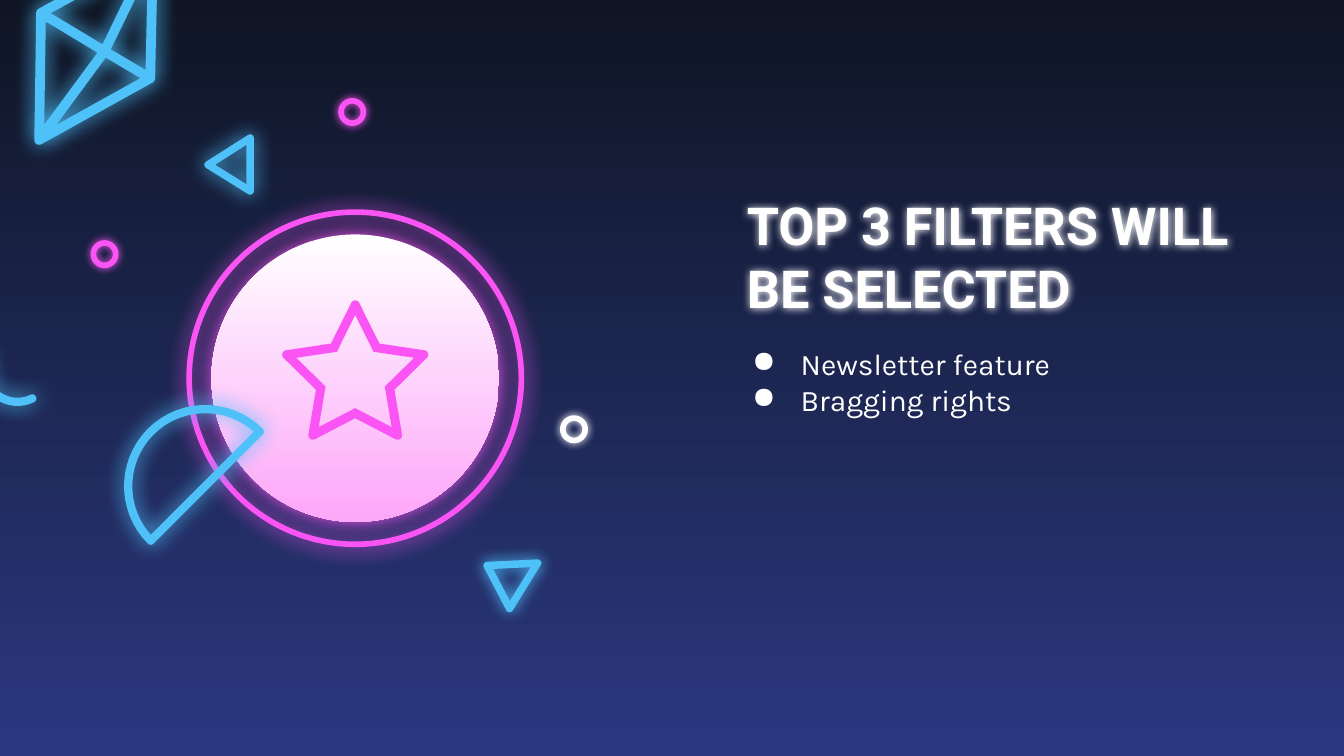
"""Build the neon "top 3 filters" slide."""
from dataclasses import dataclass
from math import acos, atan2, ceil, cos, hypot, radians, sin

from lxml.etree import SubElement
from pptx import Presentation
from pptx.dml.color import RGBColor as RGB
from pptx.enum.shapes import MSO_SHAPE as SHAPE
from pptx.enum.text import MSO_ANCHOR as ANCHOR
from pptx.oxml.ns import qn
from pptx.util import Pt

Point = tuple[float, float]


@dataclass(frozen=True)
class Theme:
    white: str = "FFFFFF"
    pink: str = "FB54F4"
    pale_pink: str = "FDA7F9"
    blue: str = "4FC1F9"
    night: str = "0F1524"
    indigo: str = "2B3880"
    title_font: str = "Roboto"
    body_font: str = "Karla"
    title_size: float = 28
    body_size: float = 16


@dataclass(frozen=True)
class Circle:
    center: Point
    radius: float
    color: str
    glow: float


@dataclass(frozen=True)
class Tube:
    points: list[Point]
    holes: list[list[Point]]
    half_width: float
    color: str
    glow: float = 0


T = Theme()


def arc(center: Point, radius: float, start: float, end: float) -> list[Point]:
    steps = max(1, ceil(abs(end - start) / 6))
    angles = [radians(start + (end - start) * i / steps) for i in range(steps + 1)]
    return [(center[0] + radius * cos(a), center[1] + radius * sin(a)) for a in angles]


def star(center: Point, outer: float, inner: float) -> list[Point]:
    return [arc(center, inner if i % 2 else outer, a, a)[0]
            for i, a in enumerate(range(-90, 270, 36))]


def normal(a: Point, b: Point) -> Point:
    dx, dy = b[0] - a[0], b[1] - a[1]
    length = hypot(dx, dy)
    return dy / length, -dx / length


def offset(points: list[Point], distance: float) -> list[Point]:
    result = []
    for i, (x, y) in enumerate(points):
        nx, ny = normal(points[i - 1], (x, y))
        mx, my = normal((x, y), points[(i + 1) % len(points)])
        dot = max(-1, min(1, nx * mx + ny * my))
        convex = nx * my - ny * mx > 0 or dot < -0.99
        if convex and distance > 0:
            start, sweep = atan2(ny, nx), acos(dot)
            steps = max(1, ceil(sweep / radians(15)))
            angles = [start + sweep * k / steps for k in range(steps + 1)]
            result += [(x + distance * cos(a), y + distance * sin(a)) for a in angles]
        else:
            scale = distance / (1 + dot)
            result.append((x + scale * (nx + mx), y + scale * (ny + my)))
    return result


def add_glow(sp, color: str, blur: float) -> None:
    effects = sp._element.spPr.find(qn("a:effectLst"))
    if effects is None:
        effects = SubElement(sp._element.spPr, qn("a:effectLst"))
    shadow = SubElement(effects, qn("a:outerShdw"), blurRad=str(Pt(blur)), dist="0",
                        algn="bl", rotWithShape="0")
    SubElement(shadow, qn("a:srgbClr"), val=color)


def fill_gradient(fill, top: str, bottom: str) -> None:
    fill.gradient()
    fill.gradient_angle = 270
    for stop, color in zip(fill.gradient_stops, (top, bottom)):
        stop.color.rgb = RGB.from_string(color)


def add_circle(s, circle: Circle):
    (x, y), r = circle.center, circle.radius
    sp = s.shapes.add_shape(SHAPE.OVAL, Pt(x - r), Pt(y - r), Pt(2 * r), Pt(2 * r))
    sp.shadow.inherit = False
    add_glow(sp, circle.color, circle.glow)
    return sp


def add_ring(s, circle: Circle) -> None:
    sp = add_circle(s, circle)
    sp.fill.background()
    sp.line.color.rgb = RGB.from_string(circle.color)
    sp.line.width = Pt(3)


def add_disc(s, circle: Circle) -> None:
    sp = add_circle(s, circle)
    fill_gradient(sp.fill, T.white, T.pale_pink)
    sp.line.fill.background()


def add_tube(s, tube: Tube) -> None:
    contours = [offset(tube.points, tube.half_width)]
    contours += [offset(hole, -tube.half_width) for hole in tube.holes]
    paths = [[(Pt(x), Pt(y)) for x, y in contour] for contour in contours]
    builder = s.shapes.build_freeform(*paths[0][0])
    for i, vertices in enumerate(paths):
        if i:
            builder.move_to(*vertices[0])
        builder.add_line_segments(vertices[1:], close=True)
    sp = builder.convert_to_shape()
    sp.fill.solid()
    sp.fill.fore_color.rgb = RGB.from_string(tube.color)
    sp.line.fill.background()
    sp.shadow.inherit = False
    if tube.glow:
        add_glow(sp, tube.color, tube.glow)


def add_text(s, lines: list[str], box: tuple, *, font: str, size: float, color: str,
             bold: bool = False, bullet: str = "", side_inset: float = 0,
             anchor=ANCHOR.TOP, glow: float = 0) -> None:
    sp = s.shapes.add_textbox(*(Pt(v) for v in box))
    tf = sp.text_frame
    tf.word_wrap = True
    tf.vertical_anchor = anchor
    tf.margin_left = tf.margin_right = Pt(side_inset)
    tf.margin_top = tf.margin_bottom = Pt(7.2)
    for i, line in enumerate(lines):
        p = tf.paragraphs[0] if i == 0 else tf.add_paragraph()
        if bullet:
            pPr = p._p.get_or_add_pPr()
            pPr.set("marL", str(Pt(36)))
            pPr.set("indent", str(Pt(-26)))
            SubElement(SubElement(pPr, qn("a:buClr")), qn("a:srgbClr"), val=color)
            SubElement(pPr, qn("a:buChar"), char=bullet)
        r = p.add_run()
        r.text = line
        r.font.name, r.font.size, r.font.bold = font, Pt(size), bold
        r.font.color.rgb = RGB.from_string(color)
    if glow:
        add_glow(sp, color, glow)


def main() -> None:
    prs = Presentation()
    prs.slide_width, prs.slide_height = Pt(720), Pt(405)
    s = prs.slides.add_slide(prs.slide_layouts[6])
    fill_gradient(s.background.fill, T.night, T.indigo)

    badge = (190.3, 202.6)
    add_ring(s, Circle(badge, 89, T.pink, 11.3))
    add_text(s, ["TOP 3 FILTERS WILL BE SELECTED"], (393, 60.5, 304.5, 117.5),
             font=T.title_font, size=T.title_size, color=T.white, bold=True,
             side_inset=7.2, anchor=ANCHOR.BOTTOM, glow=4.5)
    add_text(s, ["Newsletter feature", "Bragging rights"], (393, 178, 243.5, 94.5),
             font=T.body_font, size=T.body_size, color=T.white, bullet="●")
    add_disc(s, Circle(badge, 77, T.pink, 10.1))

    half_disc = arc((110, 260.5), 41.3, 135, 315)
    gem = [(82, -26), (80.5, 42), (21, 75), (22, 7)]
    facets = [[gem[i - 1], gem[i], (56, 27.5)] for i in range(4)]
    left_triangle = [(134, 74), (134, 102.3), (111.5, 88.3)]
    hook = arc((9.4, 197.3), 18, 64, 204)
    low_triangle = [(261, 303), (288, 301.7), (273, 326)]
    for tube in (Tube(half_disc, [half_disc], 2.2, T.blue, 11.3),
                 Tube(gem, facets, 2.6, T.blue, 11.3),
                 Tube(left_triangle, [left_triangle], 2, T.blue, 11.3),
                 Tube(hook + hook[-2:0:-1], [], 2.2, T.blue, 11.3),
                 Tube(low_triangle, [low_triangle], 2, T.blue, 7.9)):
        add_tube(s, tube)

    for center, color in (((307.5, 230), T.white), ((188.7, 60), T.pink),
                          ((56, 136.2), T.pink)):
        add_ring(s, Circle(center, 6, color, 4.5))
    star_line = star((190.3, 202), 38.6, 19.4)
    add_tube(s, Tube(star_line, [star_line], 2.4, T.pink))
    prs.save("out.pptx")


if __name__ == "__main__":
    main()
